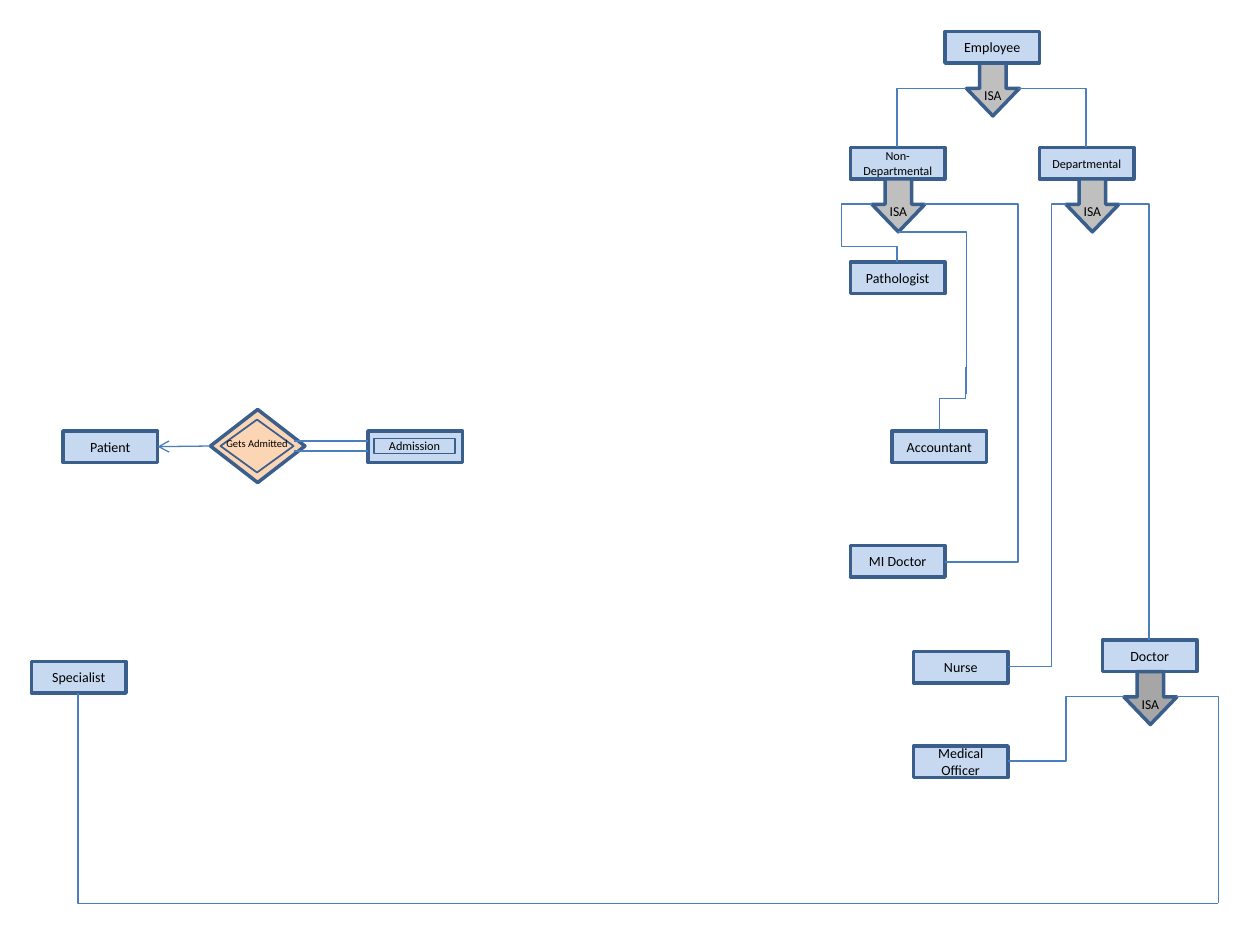
import pptx
import pptx.dml.color
import pptx.enum.shapes
import pptx.enum.text
import pptx.oxml
import pptx.oxml.ns
import pptx.util

Inches = pptx.util.Inches
Pt = pptx.util.Pt
RGBColor = pptx.dml.color.RGBColor
SHAPE = pptx.enum.shapes.MSO_SHAPE
CONNECTOR = pptx.enum.shapes.MSO_CONNECTOR

BOX_BLUE = RGBColor(0xC6, 0xD9, 0xF1)
OUTLINE_BLUE = RGBColor(0x3A, 0x5F, 0x8C)
LINE_BLUE = RGBColor(0x4B, 0x7E, 0xBC)
PEACH = RGBColor(0xFC, 0xD5, 0xB5)
GRAY = RGBColor(0xBF, 0xBF, 0xBF)
DARK_GRAY = RGBColor(0xA6, 0xA6, 0xA6)
BLACK = RGBColor(0x00, 0x00, 0x00)

BOX_WIDTH, BOX_HEIGHT = 0.75, 0.25
ARROW_SIZE = 0.42

presentation = pptx.Presentation()
presentation.slide_width = Inches(10)
presentation.slide_height = Inches(7.5)
slide = presentation.slides.add_slide(presentation.slide_layouts[6])


def add_node(kind, bounds, fill, text="", size=8, outline=2, **frame_format):
    """Add an outlined shape with centred text; frame_format sets text frame attributes."""
    shape = slide.shapes.add_shape(kind, *[Inches(length) for length in bounds])
    shape.shadow.inherit = False
    shape.fill.solid()
    shape.fill.fore_color.rgb = fill
    shape.line.color.rgb = OUTLINE_BLUE
    shape.line.width = Pt(outline)
    frame = shape.text_frame
    settings = {"word_wrap": True, "vertical_anchor": pptx.enum.text.MSO_ANCHOR.MIDDLE}
    for name, value in {**settings, **frame_format}.items():
        setattr(frame, name, value)
    frame.text = text
    for paragraph in frame.paragraphs:
        paragraph.alignment = pptx.enum.text.PP_ALIGN.CENTER
        for name, value in {"name": "Calibri", "size": Pt(size)}.items():
            setattr(paragraph.font, name, value)
        paragraph.font.color.rgb = BLACK
    return shape


def add_line(kind, begin, end):
    connector = slide.shapes.add_connector(
        kind, *[Inches(length) for length in (*begin, *end)])
    connector.line.color.rgb = LINE_BLUE
    connector.line.width = Pt(0.75)
    properties = connector.element.spPr
    properties.append(pptx.oxml.parse_xml(
        f"<a:effectLst {pptx.oxml.ns.nsdecls('a')}/>"))
    return connector


# Entity boxes
boxes = [
    ("Patient", 0.5, 3.42, 8, {}),
    ("", 2.92, 3.42, 8, {}),
    ("Specialist", 0.25, 5.25, 8, {}),
    ("Medical Officer", 7.25, 5.92, 8, {}),
    ("Nurse", 7.25, 5.17, 8, {}),
    ("MI Doctor", 6.75, 4.33, 8, {}),
    ("Accountant", 7.08, 3.42, 8, {}),
    ("Pathologist", 6.75, 2.08, 8, {}),
    ("Employee", 7.5, 0.25, 8, {}),
    ("Non-\nDepartmental", 6.75, 1.17, 7, {"word_wrap": False}),
    ("Departmental", 8.25, 1.17, 7, {"margin_left": 0, "margin_right": 0}),
    ("Doctor", 8.75, 5.08, 8, {}),
]
nodes = {}
for text, left, top, size, frame_format in boxes:
    nodes[text] = add_node(SHAPE.RECTANGLE, (left, top, BOX_WIDTH, BOX_HEIGHT),
                           BOX_BLUE, text, size, **frame_format)
add_node(SHAPE.RECTANGLE, (2.97, 3.48, 0.64, 0.12), BOX_BLUE, "Admission", 7, 1)

# Double diamond of the relationship
relationship = add_node(SHAPE.DIAMOND, (1.67, 3.25, 0.75, 0.58), PEACH)
for y in (3.5, 3.58):
    add_line(CONNECTOR.STRAIGHT, (2.33, y), (2.92, y))
add_node(SHAPE.DIAMOND, (1.75, 3.33, 0.58, 0.42), PEACH, "Gets Admitted", 6, 1,
         word_wrap=False, margin_bottom=Inches(0.1))

admitted_line = add_line(CONNECTOR.STRAIGHT, (1.67, 3.54), (1.25, 3.54))
admitted_line.begin_connect(relationship, 1)
admitted_line.end_connect(nodes["Patient"], 3)
admitted_line.line._get_or_add_ln().append(pptx.oxml.parse_xml(
    f"<a:tailEnd {pptx.oxml.ns.nsdecls('a')} type='arrow'/>"))

# ISA arrows
for left, top, fill in [(7.67, 0.5, GRAY), (6.92, 1.42, GRAY),
                        (8.46, 1.42, GRAY), (8.92, 5.33, DARK_GRAY)]:
    arrow = add_node(SHAPE.DOWN_ARROW, (left, top, ARROW_SIZE, ARROW_SIZE), fill,
                     "ISA", 7.8, word_wrap=False,
                     margin_top=Inches(0.2), margin_bottom=0)
    arrow.adjustments[0] = 0.5
    arrow.adjustments[1] = 0.52

# Elbow lines: begin, end, bends as shares of width and height, rotation in degrees.
# Without bends the line turns once, from horizontal to vertical.
elbows = [
    ((7.67, 0.7), (7.12, 1.17), [], 0),
    ((8.08, 0.7), (8.62, 1.17), [], 0),
    ((6.92, 1.62), (7.12, 2.08), [-1.2, 0.73], 0),
    ((7.13, 1.84), (7.67, 3.13), [], 0),
    ((7.31, 3.06), (7.81, 3.27), [0.5], 90),
    ((7.33, 1.62), (8.08, 4.42), [], 0),
    ((7.5, 4.46), (8.08, 4.42), [], 0),
    ((8.88, 1.62), (9.12, 5.08), [], 0),
    ((8.46, 1.62), (8, 5.29), [0.25], 0),
    ((8.92, 5.53), (8, 6.04), [0.5], 0),
    ((9.33, 5.53), (9.67, 7.17), [], 0),
    ((9.67, 7.17), (0.62, 5.5), [], 0),
]
for begin, end, bends, rotation in elbows:
    elbow = add_line(CONNECTOR.ELBOW, begin, end)
    properties = elbow.element.spPr
    if rotation:
        properties.xfrm.set("rot", str(rotation * 60000))
    guides = "".join(
        f"<a:gd name='adj{number}' fmla='val {round(bend * 100000)}'/>"
        for number, bend in enumerate(bends, 1))
    geometry = pptx.oxml.parse_xml(
        f"<a:prstGeom {pptx.oxml.ns.nsdecls('a')} prst='bentConnector{len(bends) + 2}'>"
        f"<a:avLst>{guides}</a:avLst></a:prstGeom>")
    properties.replace(properties.find(pptx.oxml.ns.qn("a:prstGeom")), geometry)

presentation.save("out.pptx")
